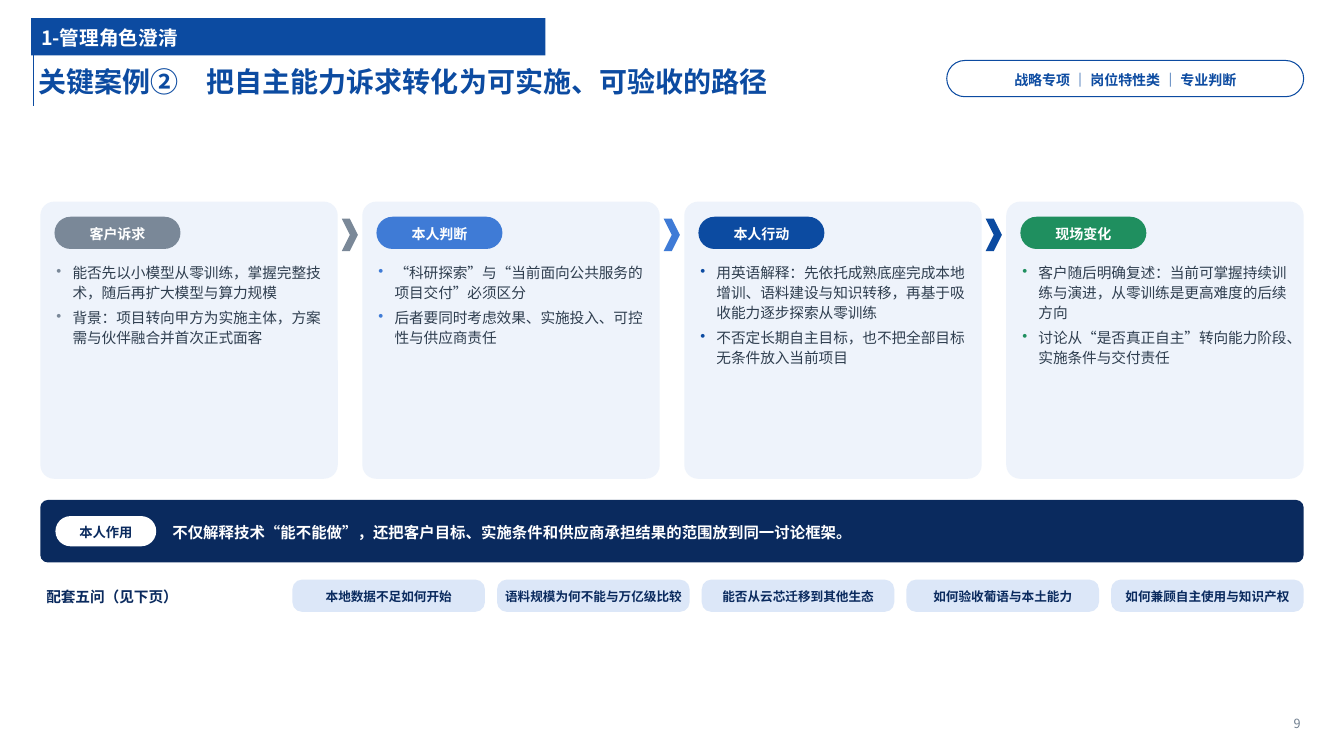
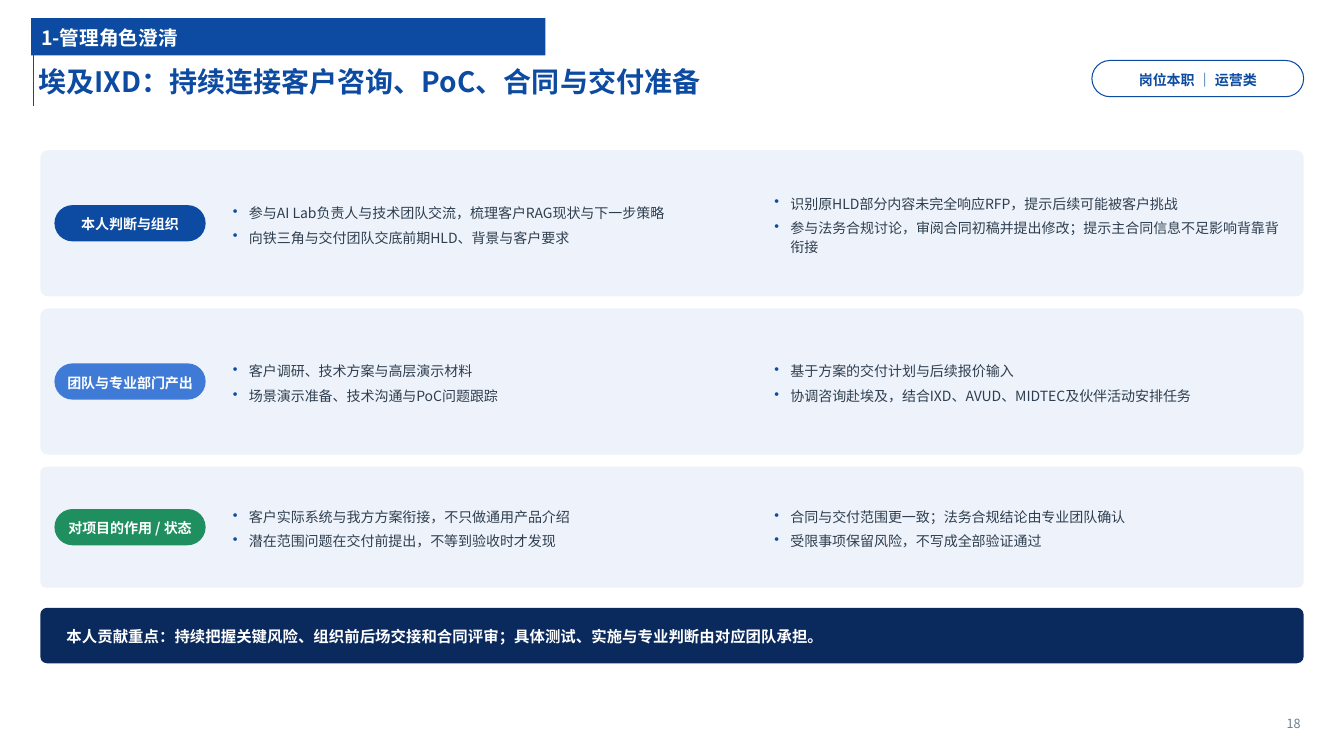
from lxml.etree import SubElement as Sub
from pptx import Presentation
from pptx.dml.color import RGBColor
from pptx.enum.shapes import MSO_CONNECTOR as Link, MSO_SHAPE as Kind
from pptx.enum.text import MSO_ANCHOR as Anchor, PP_ALIGN as Align
from pptx.oxml.ns import qn
from pptx.util import Pt

PX = 9144
FONT = "Noto Sans CJK SC"
BLUE, SKY, GREEN, GREY = "0C4BA1", "3F7BD6", "1F8F5F", "7A8898"
NAVY, PALE, ICE, WHITE = "0A2A5E", "EEF3FB", "DCE7F8", "FFFFFF"
INK, DIM = "2F3E4F", "6F7E8F"
LEFT, WIDE = 40, 1253
PAD, SNUG = (6, 4, 6, 4), (4, 0, 4, 0)
hue = RGBColor.from_string


def form(page, x, y, w, h, fill=None, kind=Kind.ROUNDED_RECTANGLE, adj=None, line=None):
    spot = [round(n * PX) for n in (x, y, w, h)]
    if fill is None:
        return page.shapes.add_textbox(*spot)
    shape = page.shapes.add_shape(kind, *spot)
    shape.shadow.inherit = False
    shape.fill.solid()
    shape.fill.fore_color.rgb = hue(fill)
    if adj is not None:
        shape.adjustments[0] = adj
    if line:
        shape.line.color.rgb = hue(line)
        shape.line.width = Pt(0.75)
    else:
        shape.line.fill.background()
    return shape


def write(shape, *lines, size=10, color=WHITE, bold=True, align=Align.LEFT,
          anchor=Anchor.MIDDLE, pad=PAD, dot=None):
    frame = shape.text_frame
    frame.word_wrap = True
    frame.vertical_anchor = anchor
    (frame.margin_left, frame.margin_top,
     frame.margin_right, frame.margin_bottom) = [n * PX for n in pad]
    for i, text in enumerate(lines):
        para = frame.paragraphs[0] if i == 0 else frame.add_paragraph()
        para.alignment = align
        para.line_spacing = 1.12
        if dot:
            para.space_after = Pt(4)
            prop = para._p.get_or_add_pPr()
            prop.set("marL", str(16 * PX))
            prop.set("indent", str(-16 * PX))
            Sub(Sub(prop, qn("a:buClr")), qn("a:srgbClr"), val=dot)
            Sub(prop, qn("a:buChar"), char="•")
        run = para.add_run()
        run.text = text
        font = run.font
        font.size, font.bold = Pt(size), bold
        font.color.rgb = hue(color)
        font.name = FONT
        Sub(run._r.get_or_add_rPr(), qn("a:ea"), typeface=FONT)


deck = Presentation()
deck.slide_width, deck.slide_height = 1333 * PX, 750 * PX

heads = [
    ("关键案例②　把自主能力诉求转化为可实施、可验收的路径",
     "战略专项 ｜ 岗位特性类 ｜ 专业判断", 354, "9"),
    ("埃及IXD：持续连接客户咨询、PoC、合同与交付准备",
     "岗位本职 ｜ 运营类", 210, "18"),
]
pages = []
for title, tag, wide, num in heads:
    page = deck.slides.add_slide(deck.slide_layouts[6])
    pages.append(page)
    rule = page.shapes.add_connector(Link.STRAIGHT, 33 * PX, 24 * PX, 33 * PX, 105 * PX)
    rule.line.color.rgb = hue(BLUE)
    rule.line.width = Pt(1)
    Sub(rule._element.spPr, qn("a:effectLst"))
    write(form(page, 33, 53, 1150, 52), title, size=20, color=BLUE, pad=(5, 0, 5, 0))
    write(form(page, 31, 18, 510, 37, BLUE, Kind.RECTANGLE), "1-管理角色澄清",
          size=14, pad=(10, 0, 5, 0))
    write(form(page, LEFT + WIDE - wide, 60, wide, 36, WHITE, adj=0.5, line=BLUE), tag,
          color=BLUE, align=Align.CENTER, pad=SNUG)
    write(form(page, 1200, 702, 95, 30), num, size=9, color=DIM, bold=False,
          align=Align.RIGHT, pad=(0, 0, 5, 0))

case, work = pages

cards = [
    ("客户诉求", GREY, "能否先以小模型从零训练，掌握完整技术，随后再扩大模型与算力规模",
     "背景：项目转向甲方为实施主体，方案需与伙伴融合并首次正式面客"),
    ("本人判断", SKY, "“科研探索”与“当前面向公共服务的项目交付”必须区分",
     "后者要同时考虑效果、实施投入、可控性与供应商责任"),
    ("本人行动", BLUE,
     "用英语解释：先依托成熟底座完成本地增训、语料建设与知识转移，再基于吸收能力逐步探索从零训练",
     "不否定长期自主目标，也不把全部目标无条件放入当前项目"),
    ("现场变化", GREEN, "客户随后明确复述：当前可掌握持续训练与演进，从零训练是更高难度的后续方向",
     "讨论从“是否真正自主”转向能力阶段、实施条件与交付责任"),
]
card = 295
step = (WIDE - card) / (len(cards) - 1)
for i, (name, tint, *notes) in enumerate(cards):
    x = LEFT + i * step
    form(case, x, 200, card, 275, PALE, adj=0.05)
    write(form(case, x + 14, 215, 125, 32, tint, adj=0.5), name,
          align=Align.CENTER, pad=SNUG)
    write(form(case, x + 10, 256, card - 20, 213), *notes, size=10.5, color=INK,
          bold=False, anchor=Anchor.TOP, dot=tint)
    if i < len(cards) - 1:
        form(case, x + card + 4, 217, 16, 32, tint, Kind.CHEVRON)

form(case, LEFT, 496, WIDE, 62, NAVY, adj=0.12)
write(form(case, 55, 512, 100, 30, WHITE, adj=0.5), "本人作用", size=9.5, color=NAVY,
      align=Align.CENTER, pad=SNUG)
write(form(case, 165, 496, 1113, 62),
      "不仅解释技术“能不能做”，还把客户目标、实施条件和供应商承担结果的范围放到同一讨论框架。",
      size=11)
write(form(case, LEFT, 574, 240, 34), "配套五问（见下页）", size=10.5, color=NAVY)
asks = ["本地数据不足如何开始", "语料规模为何不能与万亿级比较", "能否从云芯迁移到其他生态",
        "如何验收葡语与本土能力", "如何兼顾自主使用与知识产权"]
for i, ask in enumerate(asks):
    write(form(case, 290 + i * 203, 575, 191, 32, ICE, adj=0.3), ask, size=9,
          color=NAVY, align=Align.CENTER, pad=SNUG)

rows = [
    ("本人判断与组织", BLUE, 145,
     ("参与AI Lab负责人与技术团队交流，梳理客户RAG现状与下一步策略",
      "向铁三角与交付团队交底前期HLD、背景与客户要求"),
     ("识别原HLD部分内容未完全响应RFP，提示后续可能被客户挑战",
      "参与法务合规讨论，审阅合同初稿并提出修改；提示主合同信息不足影响背靠背衔接")),
    ("团队与专业部门产出", SKY, 145,
     ("客户调研、技术方案与高层演示材料", "场景演示准备、技术沟通与PoC问题跟踪"),
     ("基于方案的交付计划与后续报价输入",
      "协调咨询赴埃及，结合IXD、AVUD、MIDTEC及伙伴活动安排任务")),
    ("对项目的作用 / 状态", GREEN, 120,
     ("客户实际系统与我方方案衔接，不只做通用产品介绍",
      "潜在范围问题在交付前提出，不等到验收时才发现"),
     ("合同与交付范围更一致；法务合规结论由专业团队确认",
      "受限事项保留风险，不写成全部验证通过")),
]
y = 149
for name, tint, high, *sides in rows:
    form(work, LEFT, y, WIDE, high, PALE, adj=0.05)
    write(form(work, 54, y + (high - 36) / 2, 150, 36, tint, adj=0.5), name,
          align=Align.CENTER, pad=SNUG)
    for i, notes in enumerate(sides):
        write(form(work, 225 + i * 537, y + 8, 517, high - 14), *notes, color=INK,
              bold=False, dot=BLUE)
    y += high + 12

form(work, LEFT, 603, WIDE, 55, NAVY, adj=0.12)
write(form(work, 60, 603, 1213, 55),
      "本人贡献重点：持续把握关键风险、组织前后场交接和合同评审；具体测试、实施与专业判断由对应团队承担。",
      size=11)

deck.save("out.pptx")
